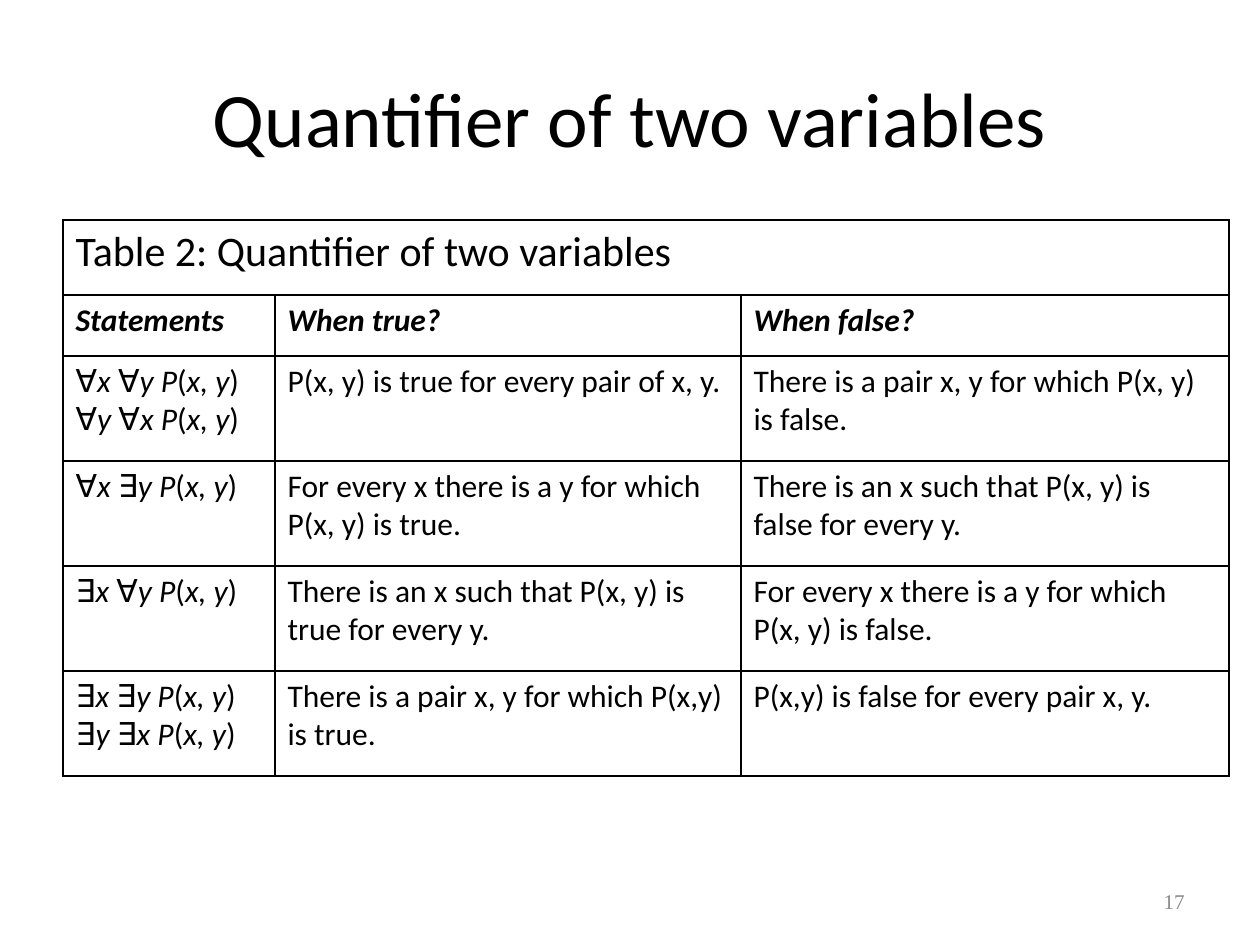
from itertools import groupby

from lxml.etree import SubElement
from pptx import Presentation
from pptx.dml.color import RGBColor
from pptx.enum.text import MSO_ANCHOR as Anchor, PP_ALIGN as Align
from pptx.oxml.ns import qn
from pptx.util import Emu, Pt

# Content
TITLE = "Quantifier of two variables"
CAPTION = "Table 2: Quantifier of two variables"
HEADERS = ["Statements", "When true?", "When false?"]
ROWS = [
    (["∀x ∀y P(x, y)", "∀y ∀x P(x, y)"],
     "P(x, y) is true for every pair of x, y.",
     "There is a pair x, y for which P(x, y) is false."),
    (["∀x ∃y P(x, y)"],
     "For every x there is a y for which P(x, y) is true.",
     "There is an x such that P(x, y) is false for every y."),
    (["∃x ∀y P(x, y)"],
     "There is an x such that P(x, y) is true for every y.",
     "For every x there is a y for which P(x, y) is false."),
    (["∃x ∃y P(x, y)", "∃y ∃x P(x, y)"],
     "There is a pair x, y for which P(x,y) is true.",
     "P(x,y) is false for every pair x, y."),
]
PAGE = "17"

# Layout in px
COLS = [212, 466, 488]
CAPTION_H, HEADER_H, ROW_H = 75, 61, 105
BLACK, WHITE, GREY = "000000", "FFFFFF", "898989"
UPRIGHT = "∀∃()"


def px(n):
    return Emu(round(n * 914400 / 126))


def rgb(value):
    return RGBColor.from_string(value)


def style(r, size, color=BLACK, name="Calibri", bold=False, italic=False):
    f = r.font
    f.size, f.name, f.bold, f.italic = Pt(size), name, bold, italic
    f.color.rgb = rgb(color)


def add_text(s, text, box, align, size, **font):
    tf = s.shapes.add_textbox(*map(px, box)).text_frame
    tf.word_wrap, tf.vertical_anchor = True, Anchor.MIDDLE
    p = tf.paragraphs[0]
    p.text, p.alignment = text, align
    style(p.runs[0], size, **font)


def add_borders(cell):
    tcPr = cell._tc.get_or_add_tcPr()
    for side in ("lnL", "lnR", "lnT", "lnB"):
        ln = SubElement(tcPr, qn(f"a:{side}"), w=str(Pt(1)))
        fill = SubElement(ln, qn("a:solidFill"))
        SubElement(fill, qn("a:srgbClr"), val=BLACK)


def fill_cell(cell, text, size=18, **font):
    cell.text = text
    style(cell.text_frame.paragraphs[0].runs[0], size, **font)


def fill_formulas(cell, formulas):
    tf = cell.text_frame
    for i, formula in enumerate(formulas):
        p = tf.add_paragraph() if i else tf.paragraphs[0]
        for italic, chars in groupby(formula, lambda c: c not in UPRIGHT):
            r = p.add_run()
            r.text = "".join(chars)
            style(r, 18, italic=italic)


prs = Presentation()
prs.slide_width, prs.slide_height = px(1260), px(945)
s = prs.slides.add_slide(prs.slide_layouts[6])

# Title
add_text(s, TITLE, (63, 38, 1134, 157), Align.CENTER, 44)

# Table grid
heights = [CAPTION_H, HEADER_H] + [ROW_H] * len(ROWS)
table = s.shapes.add_table(len(heights), len(COLS), px(63), px(220),
                           px(sum(COLS)), px(sum(heights))).table
table.first_row = table.horz_banding = False
for col, width in zip(table.columns, COLS):
    col.width = px(width)
for row, height in zip(table.rows, heights):
    row.height = px(height)
    for cell in row.cells:
        add_borders(cell)
        cell.fill.solid()
        cell.fill.fore_color.rgb = rgb(WHITE)

# Table text
table.cell(0, 0).merge(table.cell(0, len(COLS) - 1))
fill_cell(table.cell(0, 0), CAPTION, 24)
for j, header in enumerate(HEADERS):
    fill_cell(table.cell(1, j), header, bold=True, italic=True)
for i, (formulas, *meanings) in enumerate(ROWS, 2):
    fill_formulas(table.cell(i, 0), formulas)
    for j, meaning in enumerate(meanings, 1):
        fill_cell(table.cell(i, j), meaning)

# Page number
add_text(s, PAGE, (903, 876, 294, 50), Align.RIGHT, 12,
         color=GREY, name="Times New Roman")

prs.save("out.pptx")
